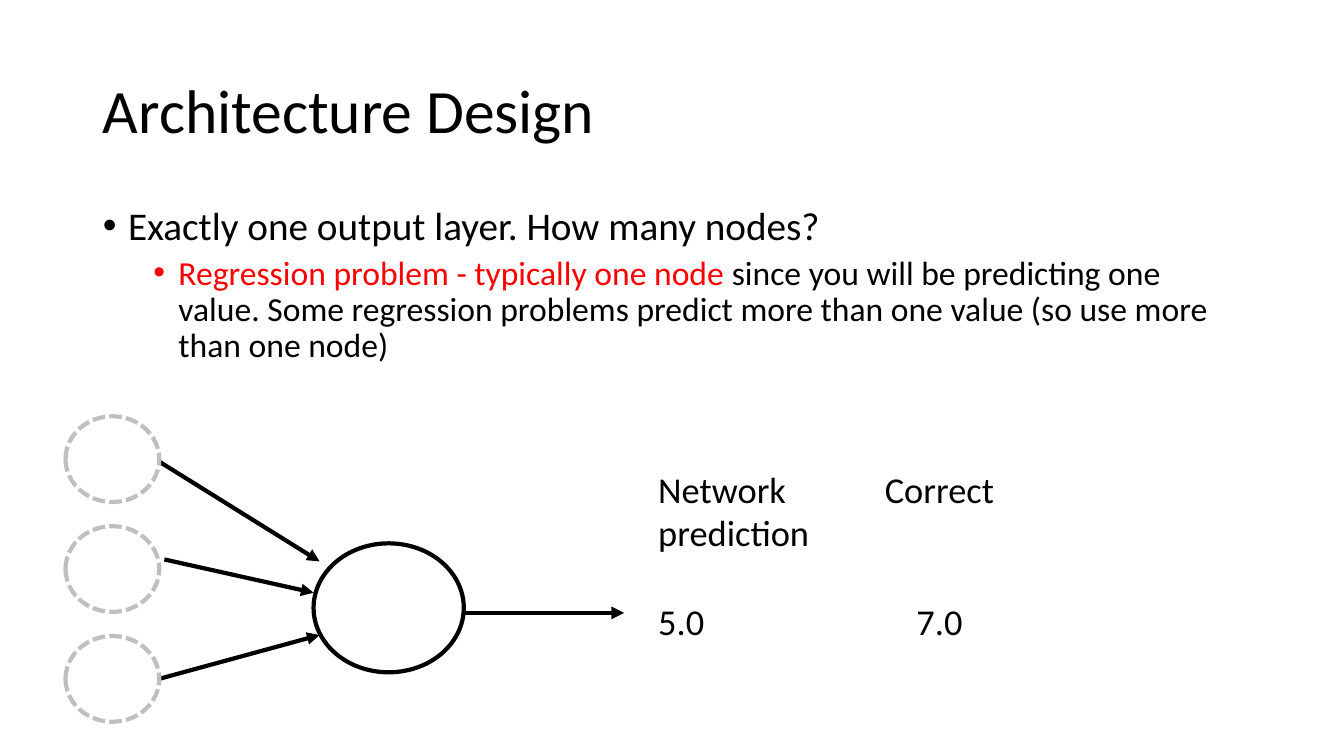
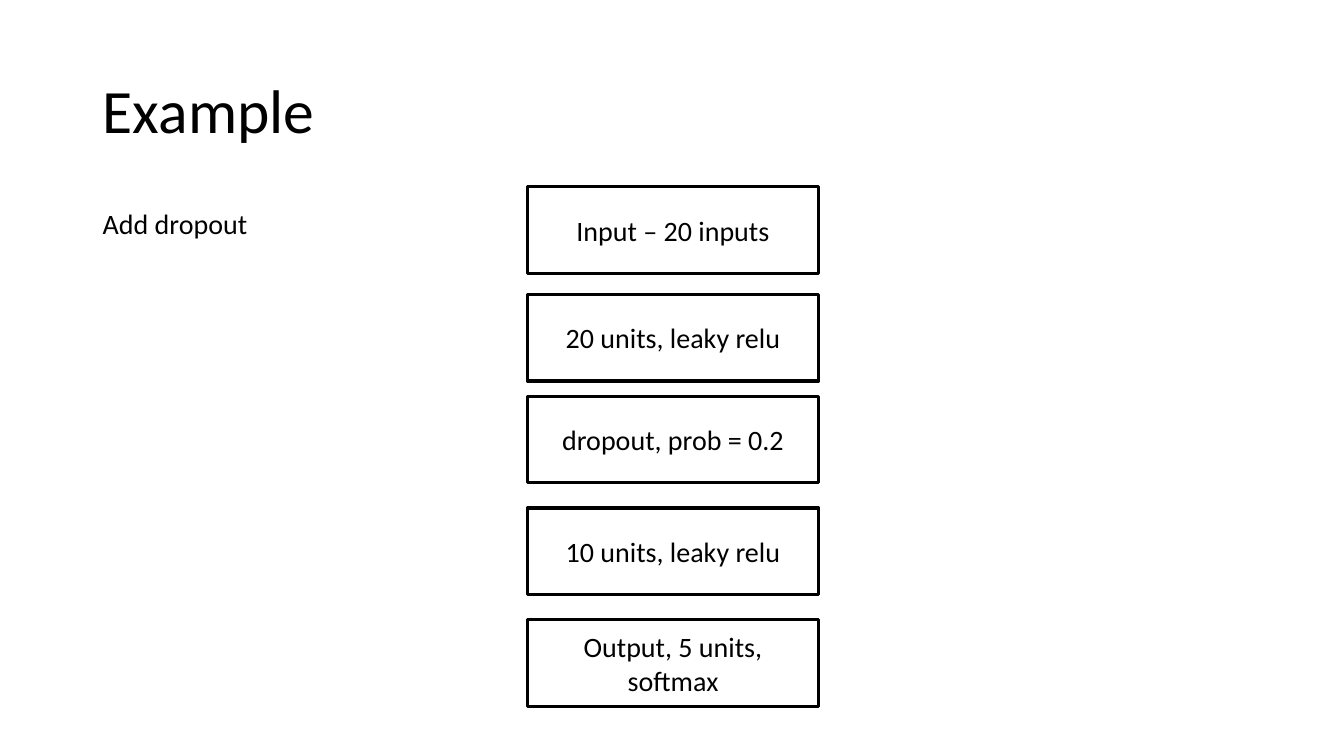
from dataclasses import dataclass

from lxml import etree
from pptx import Presentation
from pptx.dml.color import RGBColor
from pptx.enum.dml import MSO_LINE
from pptx.enum.shapes import MSO_CONNECTOR, MSO_SHAPE
from pptx.enum.text import MSO_ANCHOR, MSO_AUTO_SIZE, PP_ALIGN
from pptx.oxml.ns import qn
from pptx.util import Pt

LEFT, CENTER = PP_ALIGN.LEFT, PP_ALIGN.CENTER
TOP, MIDDLE = MSO_ANCHOR.TOP, MSO_ANCHOR.MIDDLE
OVAL, RECT = MSO_SHAPE.OVAL, MSO_SHAPE.RECTANGLE
STRAIGHT, DASH = MSO_CONNECTOR.STRAIGHT, MSO_LINE.SQUARE_DOT
NO_FIT = MSO_AUTO_SIZE.NONE
TITLE_AND_CONTENT, TITLE_ONLY = 1, 5
SCALE = 9144  # EMU in one px, 100 px to the inch


@dataclass(frozen=True)
class Theme:
    font: str = "Calibri"
    ink: str = "000000"
    paper: str = "FFFFFF"
    accent: str = "FF0000"
    muted: str = "BFBFBF"
    title: int = 44
    levels: tuple = (28, 24)
    result: int = 26
    label: int = 20
    node_line: float = 3
    box_line: float = 2.25


THEME = Theme()
TITLE_AT = (92, 40, 1150, 145)
BODY_AT = (92, 200, 1150, 476)


def px(n):
    return n * SCALE


def rgb(color):
    return RGBColor.from_string(color)


def place(shape, at):
    for name, n in zip(("left", "top", "width", "height"), at):
        setattr(shape, name, px(n))


def set_attrs(obj, **values):
    for name, value in values.items():
        setattr(obj, name, value)


def add_run(p, text, size, color=THEME.ink):
    r = p.add_run()
    r.text = text
    set_attrs(r.font, name=THEME.font, size=Pt(size))
    r.font.color.rgb = rgb(color)


def add_slide(prs, layout, title):
    s = prs.slides.add_slide(prs.slide_layouts[layout])
    place(s.shapes.title, TITLE_AT)
    tf = s.shapes.title.text_frame
    set_attrs(tf, vertical_anchor=MIDDLE, auto_size=NO_FIT)
    p = tf.paragraphs[0]
    set_attrs(p, alignment=LEFT, line_spacing=0.9)
    add_run(p, title, THEME.title)
    return s


def add_bullets(s, items):
    """Fill the body with (level, [(text, color), ...]) items."""
    body = s.placeholders[1]
    place(body, BODY_AT)
    tf = body.text_frame
    set_attrs(tf, vertical_anchor=TOP, auto_size=NO_FIT)
    for i, (level, runs) in enumerate(items):
        p = tf.add_paragraph() if i else tf.paragraphs[0]
        pPr = p._p.get_or_add_pPr()
        pPr.set("marL", str(px(25 + 50 * level)))
        pPr.set("indent", str(px(-25)))
        etree.SubElement(pPr, qn("a:buFont"), typeface="Arial")
        etree.SubElement(pPr, qn("a:buChar"), char="•")
        set_attrs(p, level=level, line_spacing=0.9, space_before=Pt(5 if i else 0))
        for text, color in runs:
            add_run(p, text, THEME.levels[level], color)


def add_text(s, at, lines, size, tab=None):
    """Add (text, space before) lines, with an optional centred tab stop."""
    tf = s.shapes.add_textbox(*map(px, at)).text_frame
    tf.word_wrap = True
    for i, (text, gap) in enumerate(lines):
        p = tf.add_paragraph() if i else tf.paragraphs[0]
        if tab:
            tabs = etree.SubElement(p._p.get_or_add_pPr(), qn("a:tabLst"))
            etree.SubElement(tabs, qn("a:tab"), pos=str(px(tab)), algn="ctr")
        p.space_before = Pt(gap)
        add_run(p, text, size)


def add_outline(s, kind, at, width, color=THEME.ink, dash=None):
    shape = s.shapes.add_shape(kind, *map(px, at))
    shape.shadow.inherit = False
    shape.fill.solid()
    shape.fill.fore_color.rgb = rgb(THEME.paper)
    shape.line.color.rgb = rgb(color)
    set_attrs(shape.line, width=Pt(width), dash_style=dash)
    return shape


def add_layer_box(s, at, label):
    tf = add_outline(s, RECT, at, THEME.box_line).text_frame
    set_attrs(tf, word_wrap=True, vertical_anchor=MIDDLE)
    p = tf.paragraphs[0]
    p.alignment = CENTER
    add_run(p, label, THEME.label)


def add_arrow(s, *ends):
    line = s.shapes.add_connector(STRAIGHT, *map(px, ends))
    line.line.color.rgb = rgb(THEME.ink)
    line.line.width = Pt(THEME.node_line)
    etree.SubElement(line.line._get_or_add_ln(), qn("a:tailEnd"), type="triangle")
    etree.SubElement(line._element.spPr, qn("a:effectLst"))


def architecture_slide(prs):
    s = add_slide(prs, TITLE_AND_CONTENT, "Architecture Design")
    add_bullets(s, [
        (0, [("Exactly one output layer. How many nodes?", THEME.ink)]),
        (1, [("Regression problem - typically one node ", THEME.accent),
             ("since you will be predicting one value. Some regression problems "
              "predict more than one value (so use more than one node)", THEME.ink)]),
    ])
    add_outline(s, OVAL, (311, 539, 149, 128), THEME.node_line)
    for ends in ((158, 458, 317, 557), (163, 555, 311, 588),
                 (156, 674, 317, 630), (461, 608, 619, 608)):
        add_arrow(s, *ends)
    add_text(s, (643, 458, 452, 185),
             [("Network\tCorrect", 0), ("prediction", 0), ("5.0\t7.0", 32)],
             THEME.result, tab=279)
    for i in range(3):
        add_outline(s, OVAL, (65, 413 + 109 * i, 93, 85), THEME.node_line,
                    THEME.muted, DASH)


def example_slide(prs):
    s = add_slide(prs, TITLE_ONLY, "Example")
    add_text(s, (92, 200, 1158, 44), [("Add dropout", 0)], THEME.label)
    for top, label in ((185, "Input – 20 inputs"), (292, "20 units, leaky relu"),
                       (393, "dropout, prob = 0.2"), (504, "10 units, leaky relu"),
                       (615, "Output, 5 units, softmax")):
        add_layer_box(s, (523, top, 289, 86), label)


def main():
    prs = Presentation()
    set_attrs(prs, slide_width=px(1333), slide_height=px(750))
    architecture_slide(prs)
    example_slide(prs)
    prs.save("out.pptx")


if __name__ == "__main__":
    main()
